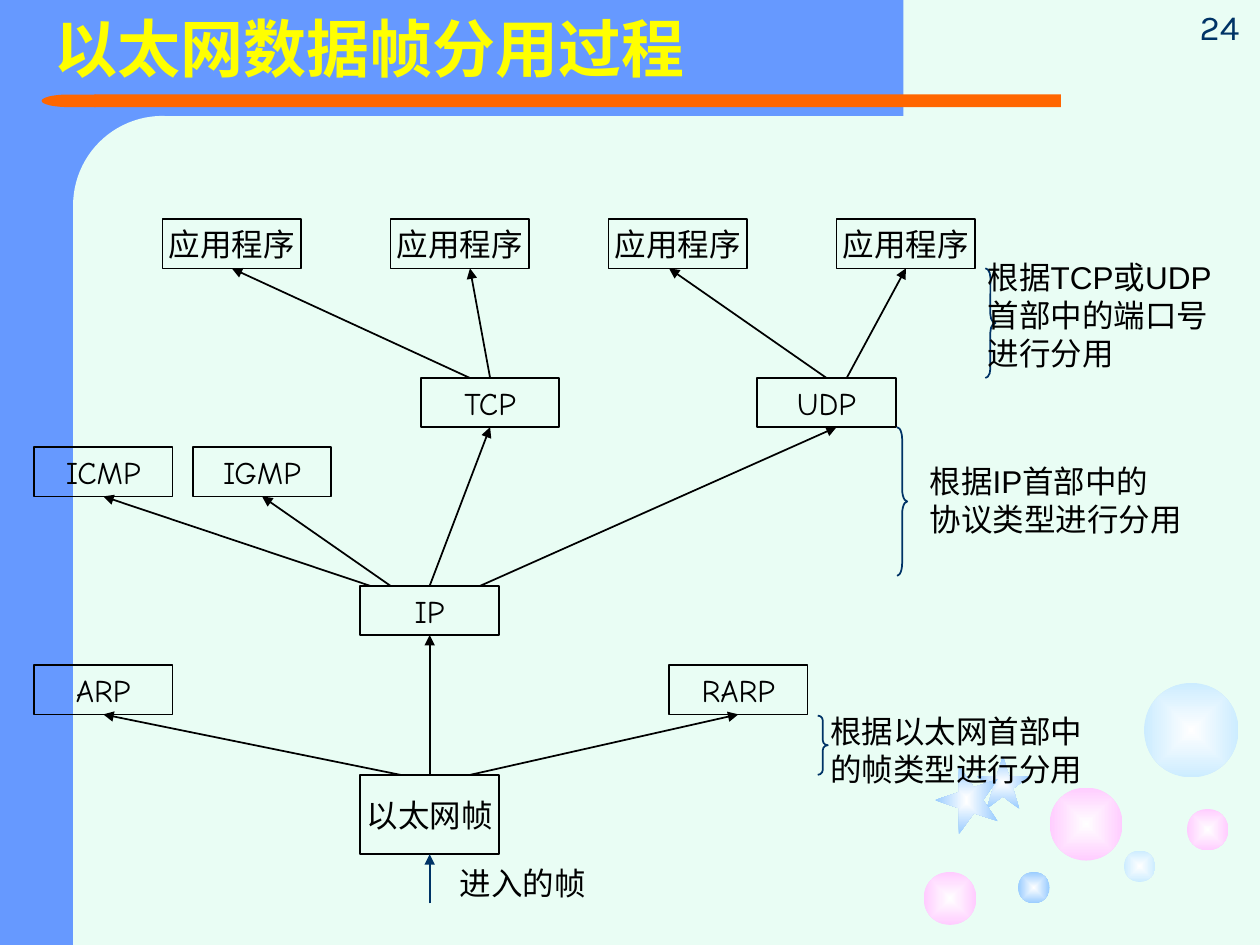
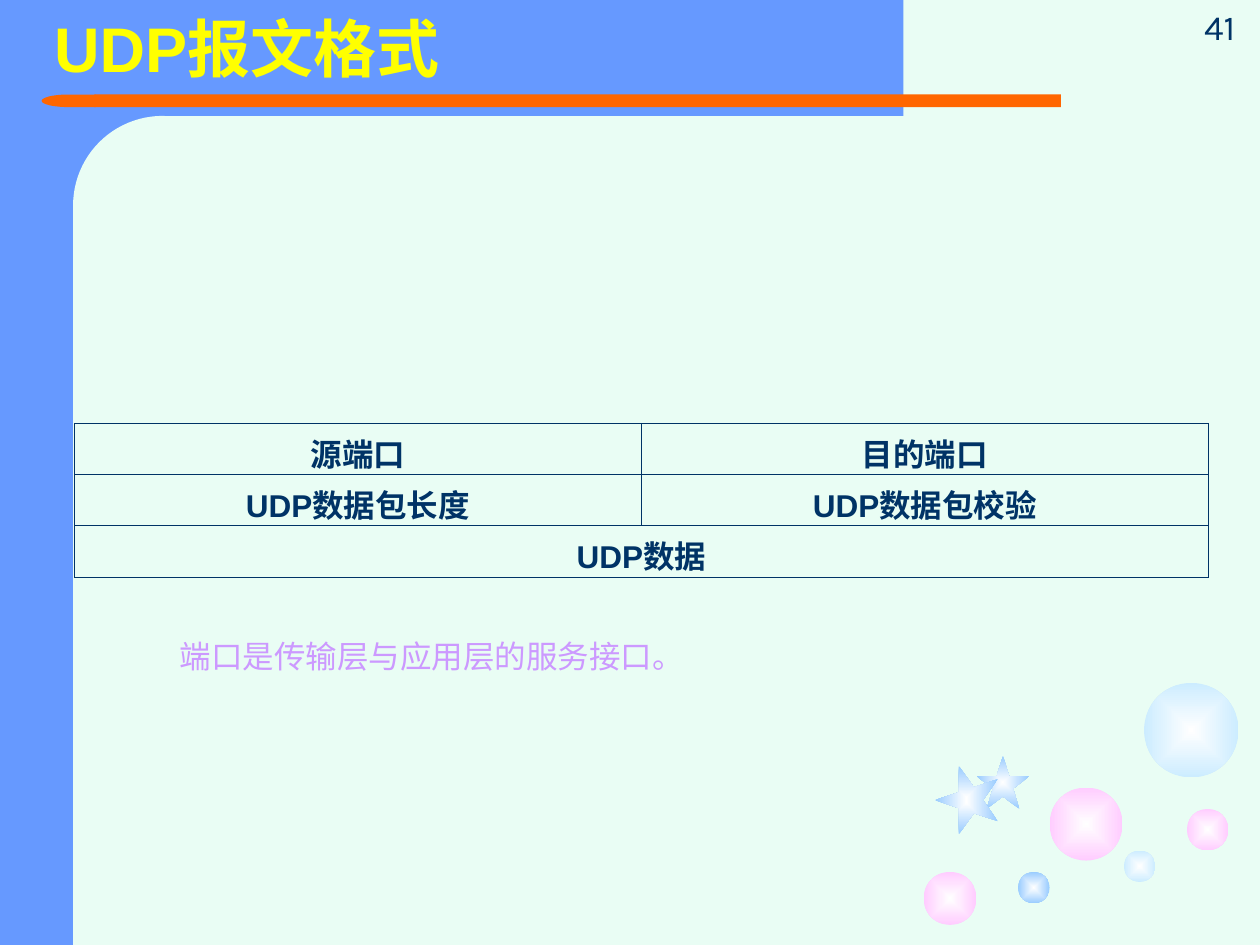
from lxml.etree import SubElement
from pptx import Presentation
from pptx.dml.color import RGBColor
from pptx.enum.shapes import MSO_CONNECTOR, MSO_SHAPE as Preset
from pptx.enum.text import MSO_ANCHOR as Anchor, MSO_AUTO_SIZE as AutoSize, PP_ALIGN as Align
from pptx.oxml.ns import qn
from pptx.util import Inches, Pt

MINT, BLUE, ORANGE, YELLOW = "E9FDF4", "6699FF", "FF6600", "FFFF00"
NAVY, BLACK, LILAC = "003366", "000000", "CC99FF"
PINK, ICE, SKY = "FFCCFF", "CCECFF", "99CCFF"

NODE_WIDTH, NODE_HEIGHT = 1.1, 0.39
APP = "应用程序"

BUBBLES = [
    (8.33, 6.25, 0.58, PINK),
    (7.33, 6.92, 0.42, PINK),
    (8.92, 6.75, 0.25, ICE),
    (9.42, 6.42, 0.33, PINK),
    (9.08, 5.42, 0.75, ICE),
    (8.08, 6.92, 0.25, SKY),
]
NODES = {
    "frame": ("以太网帧", 2.86, 6.15, 0.63),
    "arp": ("ARP", 0.27, 5.28, NODE_HEIGHT),
    "rarp": ("RARP", 5.31, 5.28, NODE_HEIGHT),
    "ip": ("IP", 2.86, 4.65, NODE_HEIGHT),
    "icmp": ("ICMP", 0.27, 3.55, NODE_HEIGHT),
    "igmp": ("IGMP", 1.53, 3.55, NODE_HEIGHT),
    "tcp": ("TCP", 3.34, 3, NODE_HEIGHT),
    "udp": ("UDP", 6.01, 3, NODE_HEIGHT),
    "app1": (APP, 1.29, 1.74, NODE_HEIGHT),
    "app2": (APP, 3.1, 1.74, NODE_HEIGHT),
    "app3": (APP, 4.83, 1.74, NODE_HEIGHT),
    "app4": (APP, 6.64, 1.74, NODE_HEIGHT),
}
LINKS = [
    ("frame", 3.41, "ip", 3.41),
    ("frame", 3.18, "arp", 0.82),
    ("frame", 3.73, "rarp", 5.86),
    ("ip", 2.94, "icmp", 0.82),
    ("ip", 3.1, "igmp", 2.08),
    ("ip", 3.41, "tcp", 3.89),
    ("ip", 3.81, "udp", 6.64),
    ("tcp", 3.73, "app1", 1.84),
    ("tcp", 3.89, "app2", 3.73),
    ("udp", 6.56, "app3", 5.31),
    ("udp", 6.72, "app4", 7.19),
]
BRACES = [(6.49, 5.68, 0.47), (7.12, 3.39, 1.18), (7.82, 2.13, 0.87)]
NOTES = [
    ("进入的帧", 3.55, 6.81, 1.2, 0.4),
    ("根据以太网首部中\n的帧类型进行分用", 6.49, 5.6, 2.2, 0.7),
    ("根据IP首部中的\n协议类型进行分用", 7.28, 3.62, 2.2, 0.7),
    ("根据TCP或UDP\n首部中的端口号\n进行分用", 7.74, 2, 2.16, 1),
]
HEADER_FIELDS = [["源端口", "目的端口"], ["UDP数据包长度", "UDP数据包校验"], ["UDP数据", ""]]


def color(value):
    """Turn a hex string into a colour."""
    return RGBColor.from_string(value)


def style_text(frame, size, font, ink, bold=False, align=Align.LEFT):
    """Format every paragraph and run of a text frame."""
    for para in frame.paragraphs:
        para.alignment = align
        for span in para.runs:
            span.font.size = Pt(size)
            span.font.name = font
            span.font.bold = bold
            span.font.color.rgb = color(ink)


def add_preset(page, preset, left, top, width, height, fill=None, line=None):
    """Add a preset shape with a plain fill and line."""
    shape = page.shapes.add_shape(preset, Inches(left), Inches(top), Inches(width), Inches(height))
    shape.shadow.inherit = False
    if fill:
        shape.fill.solid()
        shape.fill.fore_color.rgb = color(fill)
    else:
        shape.fill.background()
    if line:
        shape.line.color.rgb = color(line)
        shape.line.width = Pt(1)
    else:
        shape.line.fill.background()
    return shape


def add_glow(page, preset, left, top, width, height, rim):
    """Add a shape that fades from a white centre to a coloured rim."""
    shape = add_preset(page, preset, left, top, width, height)
    shape.fill.gradient()
    for stop, tint in zip(shape.fill.gradient_stops, ("FFFFFF", rim)):
        stop.color.rgb = color(tint)
    gradient = shape.element.spPr.find(qn("a:gradFill"))
    gradient.remove(gradient.find(qn("a:lin")))
    center = SubElement(gradient, qn("a:path"), path="rect")
    SubElement(center, qn("a:fillToRect"), l="50000", t="50000", r="50000", b="50000")
    return shape


def move_to_layout(page, layout):
    """Move all shapes but the title from a page to its layout."""
    for placeholder in list(layout.placeholders):
        if placeholder.placeholder_format.idx:
            placeholder.element.getparent().remove(placeholder.element)
    for shape in list(page.shapes):
        if not shape.is_placeholder:
            layout.shapes.element.append(shape.element)


def decorate_layout(page, layout):
    """Build the bands, bubbles and stars that all pages share."""
    layout.background.fill.solid()
    layout.background.fill.fore_color.rgb = color(MINT)
    add_preset(page, Preset.RECTANGLE, 0, 0, 1.25, 7.5, BLUE)
    add_preset(page, Preset.RECTANGLE, 0.5, 0, 6.67, 0.92, BLUE)
    corner = add_preset(page, Preset.ROUNDED_RECTANGLE, 0.58, 0.92, 1.42, 5.75, MINT)
    corner.adjustments[0] = 0.5
    add_preset(page, Preset.RECTANGLE, 0.75, 0.75, 7.67, 0.1, ORANGE)
    tip = add_preset(page, Preset.FLOWCHART_DELAY, 0.33, 0.75, 0.43, 0.1, ORANGE)
    tip.rotation = 180
    add_preset(page, Preset.RECTANGLE, 0.58, 5.92, 1.42, 1.58, MINT)
    for left, top, size, rim in BUBBLES:
        add_glow(page, Preset.OVAL, left, top, size, size, rim)
    add_glow(page, Preset.STAR_5_POINT, 7.75, 6, 0.42, 0.42, SKY)
    tilted = add_glow(page, Preset.STAR_5_POINT, 7.4, 6.1, 0.54, 0.5, SKY)
    tilted.rotation = 270
    move_to_layout(page, layout)


def add_text(page, text, left, top, width, height, ink=BLACK):
    """Add an unwrapped text box."""
    box = page.shapes.add_textbox(Inches(left), Inches(top), Inches(width), Inches(height))
    frame = box.text_frame
    frame.text = text
    frame.word_wrap = False
    frame.auto_size = AutoSize.SHAPE_TO_FIT_TEXT
    style_text(frame, 18, "Arial", ink)
    return frame


def set_heading(page, text, number):
    """Fill the title and write the page number."""
    title = page.shapes.title
    title.left, title.top = Inches(0.33), Inches(0)
    title.width, title.height = Inches(8.42), Inches(0.83)
    frame = title.text_frame
    frame.text = text
    frame.auto_size = AutoSize.NONE
    frame.vertical_anchor = Anchor.MIDDLE
    frame.paragraphs[0].line_spacing = 0.9
    style_text(frame, 36, "Arial", YELLOW, bold=True)
    corner = add_text(page, number, 9.36, -0.05, 0.64, 0.48)
    corner.word_wrap = True
    corner.vertical_anchor = Anchor.BOTTOM
    style_text(corner, 20, "Karla", NAVY, align=Align.CENTER)


def add_node(page, label, left, top, height):
    """Add an outlined protocol box."""
    node = add_preset(page, Preset.RECTANGLE, left, top, NODE_WIDTH, height, line=BLACK)
    frame = node.text_frame
    frame.text = label
    frame.word_wrap = False
    frame.vertical_anchor = Anchor.MIDDLE
    style_text(frame, 18, "Comic Neue", BLACK, align=Align.CENTER)
    return node


def add_arrow(page, start, end, ink):
    """Add a straight arrow between two points."""
    arrow = page.shapes.add_connector(MSO_CONNECTOR.STRAIGHT, *start, *end)
    arrow.line.color.rgb = color(ink)
    arrow.line.width = Pt(1)
    SubElement(arrow.line._get_or_add_ln(), qn("a:tailEnd"), type="triangle")
    SubElement(arrow.element.spPr, qn("a:effectLst"))
    return arrow


def is_middle(node, x):
    """Tell whether x is at the middle of a node."""
    return abs(node.left + node.width / 2 - x) < Inches(0.01)


def link_nodes(page, source, start_x, target, end_x):
    """Point an arrow from the top of one node to the bottom of another."""
    start = Inches(start_x), source.top
    end = Inches(end_x), target.top + target.height
    arrow = add_arrow(page, start, end, BLACK)
    if is_middle(source, start[0]):
        arrow.begin_connect(source, 0)
    if is_middle(target, end[0]):
        arrow.end_connect(target, 2)


def add_brace(page, left, top, height):
    """Add a right brace whose curls are a twelfth of its height."""
    width = 0.08
    brace = add_preset(page, Preset.RIGHT_BRACE, left, top, width, height, line=NAVY)
    brace.adjustments[0] = height / 12 / width


def add_borders(cell):
    """Draw thin lines on all sides of a cell."""
    properties = cell._tc.get_or_add_tcPr()
    for index, side in enumerate(("lnL", "lnR", "lnT", "lnB")):
        line = properties.makeelement(qn(f"a:{side}"), {"w": str(Pt(0.45))})
        fill = SubElement(line, qn("a:solidFill"))
        SubElement(fill, qn("a:srgbClr"), val=NAVY)
        properties.insert(index, line)


def add_header_table(page):
    """Add the table of UDP header fields."""
    area = Inches(0.59), Inches(3.36), Inches(9), Inches(1.22)
    table = page.shapes.add_table(3, 2, *area).table
    table.first_row = table.horz_banding = False
    for r, fields in enumerate(HEADER_FIELDS):
        for c, field in enumerate(fields):
            cell = table.cell(r, c)
            cell.text = field
            cell.fill.background()
            add_borders(cell)
            style_text(cell.text_frame, 18, "Arial", NAVY, bold=True, align=Align.CENTER)
    table.cell(2, 0).merge(table.cell(2, 1))


def build_demultiplexing(page):
    """Draw how an Ethernet frame is passed up to the applications."""
    set_heading(page, "以太网数据帧分用过程", "24")
    nodes = {name: add_node(page, *place) for name, place in NODES.items()}
    for source, start_x, target, end_x in LINKS:
        link_nodes(page, nodes[source], start_x, nodes[target], end_x)
    entry = add_arrow(page, (Inches(3.41), Inches(7.17)), (Inches(3.41), Inches(6.78)), NAVY)
    entry.end_connect(nodes["frame"], 2)
    for brace in BRACES:
        add_brace(page, *brace)
    for note in NOTES:
        add_text(page, *note)


def build_udp_format(page):
    """Show the UDP message format."""
    set_heading(page, "UDP报文格式", "41")
    add_header_table(page)
    add_text(page, "端口是传输层与应用层的服务接口。", 1.33, 5.01, 4.2, 0.4, LILAC)


def main():
    """Build and save the deck."""
    deck = Presentation()
    deck.slide_width, deck.slide_height = Inches(10), Inches(7.5)
    layout = deck.slide_layouts[5]
    first = deck.slides.add_slide(layout)
    decorate_layout(first, layout)
    build_demultiplexing(first)
    build_udp_format(deck.slides.add_slide(layout))
    deck.save("out.pptx")


if __name__ == "__main__":
    main()
